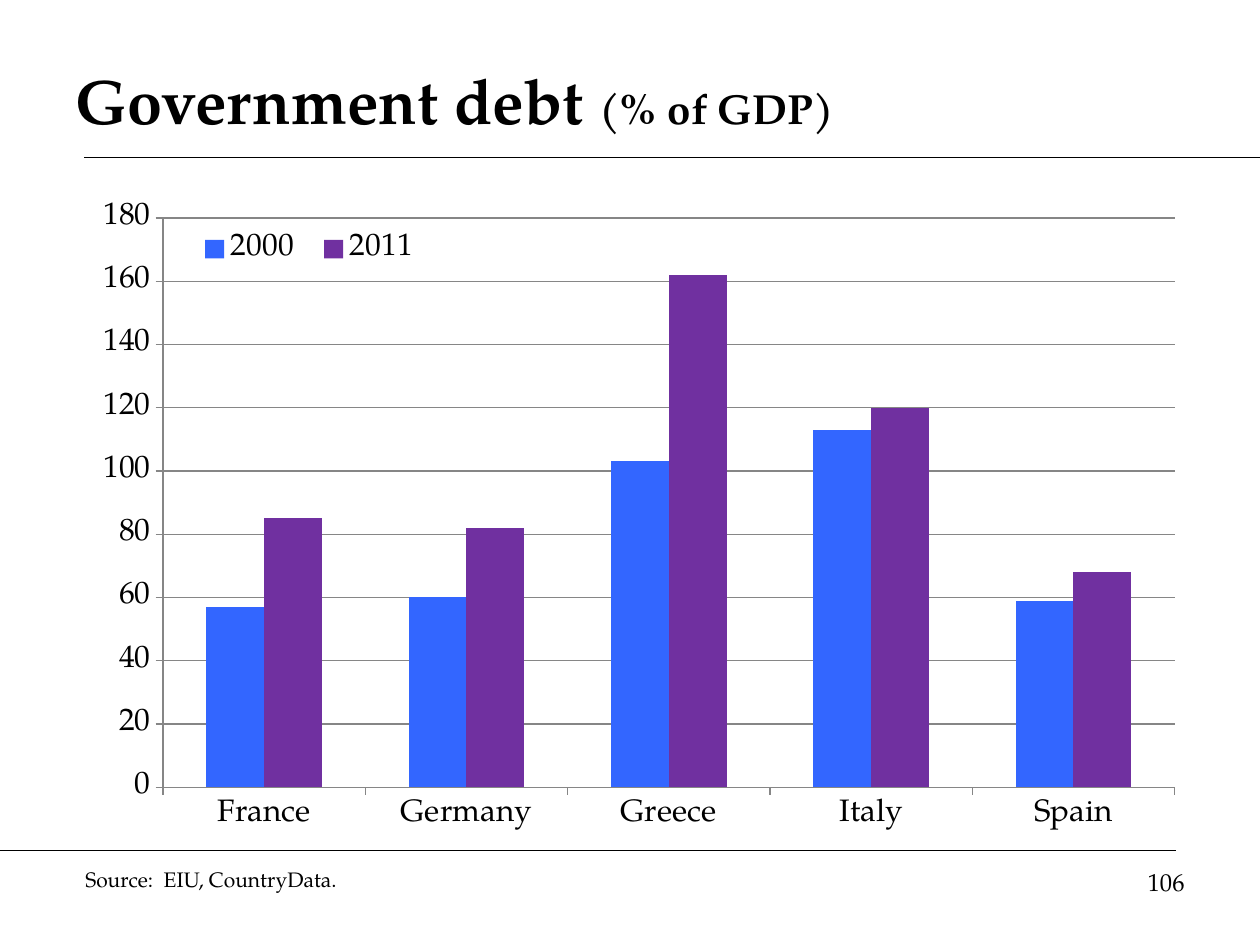
from lxml.etree import SubElement
from pptx import Presentation
from pptx.chart.data import CategoryChartData
from pptx.dml.color import RGBColor
from pptx.enum.chart import XL_CHART_TYPE, XL_LEGEND_POSITION, XL_TICK_MARK
from pptx.enum.shapes import MSO_CONNECTOR
from pptx.enum.text import MSO_ANCHOR, PP_ALIGN
from pptx.oxml import parse_xml
from pptx.oxml.ns import nsdecls, qn
from pptx.util import Cm, Pt

FONT = "TeX Gyre Pagella"
COLORS = {"ink": "000000", "grid": "868686", "2000": "3366FF", "2011": "7030A0"}
COUNTRIES = ["France", "Germany", "Greece", "Italy", "Spain"]
DEBT = {"2000": [57, 60, 103, 113, 59], "2011": [85, 82, 162, 120, 68]}


def color(key):
    return RGBColor.from_string(COLORS[key])


def set_attributes(target, formats):
    for attribute, value in formats.items():
        setattr(target, attribute, value)


def style_font(font, size, bold=False):
    set_attributes(font, {"name": FONT, "size": Pt(size), "bold": bold})
    font.color.rgb = color("ink")


def style_line(line, key):
    line.color.rgb = color(key)
    line.width = Pt(0.75)


def add_rule(slide, left, right, top):
    rule = slide.shapes.add_connector(
        MSO_CONNECTOR.STRAIGHT, Cm(left), Cm(top), Cm(right), Cm(top))
    style_line(rule.line, "ink")
    SubElement(rule._element.spPr, qn("a:effectLst"))


def add_text(slide, box, runs, align=PP_ALIGN.LEFT, anchor=MSO_ANCHOR.TOP, bold=False):
    frame = slide.shapes.add_textbox(*map(Cm, box)).text_frame
    set_attributes(frame, {"word_wrap": True, "vertical_anchor": anchor})
    paragraph = frame.paragraphs[0]
    paragraph.alignment = align
    for words, size in runs:
        run = paragraph.add_run()
        run.text = words
        style_font(run.font, size, bold)


def manual_layout(x, y, w, h, inner=False):
    target = '<c:layoutTarget val="inner"/>' if inner else ""
    sizes = "".join(f'<c:{tag} val="{value}"/>'
                    for tag, value in zip("xywh", (x, y, w, h)))
    return parse_xml(
        f'<c:layout {nsdecls("c")}><c:manualLayout>{target}'
        f'<c:xMode val="edge"/><c:yMode val="edge"/>{sizes}'
        "</c:manualLayout></c:layout>")


def place_plot(chart):
    plot_area = chart._chartSpace.chart.plotArea
    for layout in plot_area.findall(qn("c:layout")):
        plot_area.remove(layout)
    plot_area.insert(0, manual_layout(0.07, 0.04, 0.9, 0.91, inner=True))


def add_legend(chart):
    chart.has_legend = True
    legend = chart.legend
    set_attributes(legend, {"position": XL_LEGEND_POSITION.TOP,
                            "include_in_layout": False})
    style_font(legend.font, 18)
    element = legend._element
    for layout in element.findall(qn("c:layout")):
        element.remove(layout)
    element.find(qn("c:legendPos")).addnext(manual_layout(0.09, 0.05, 0.22, 0.08))


def style_axes(chart):
    for axis in (chart.category_axis, chart.value_axis):
        set_attributes(axis, {"major_tick_mark": XL_TICK_MARK.OUTSIDE,
                              "minor_tick_mark": XL_TICK_MARK.NONE})
        style_font(axis.tick_labels.font, 18)
        style_line(axis.format.line, "grid")
    set_attributes(chart.value_axis, {"minimum_scale": 0, "maximum_scale": 180,
                                      "major_unit": 20, "has_major_gridlines": True})
    style_line(chart.value_axis.major_gridlines.format.line, "grid")


def add_debt_chart(slide):
    debt = CategoryChartData(number_format="General")
    debt.categories = COUNTRIES
    for year, values in DEBT.items():
        debt.add_series(year, values)
    chart = slide.shapes.add_chart(
        XL_CHART_TYPE.COLUMN_CLUSTERED,
        Cm(1.7), Cm(3.89), Cm(22.66), Cm(12.85), debt).chart
    chart.has_title = False
    style_font(chart.font, 18)
    columns = chart.plots[0]
    set_attributes(columns, {"gap_width": 150, "overlap": 0,
                             "vary_by_categories": False})
    for series in columns.series:
        series.format.fill.solid()
        series.format.fill.fore_color.rgb = color(series.name)
    style_axes(chart)
    add_legend(chart)
    place_plot(chart)


def main():
    deck = Presentation()
    set_attributes(deck, {"slide_width": Cm(25.4), "slide_height": Cm(19.05)})
    slide = deck.slides.add_slide(deck.slide_layouts[6])
    add_rule(slide, 1.7, 25.4, 3.17)
    add_rule(slide, 0, 23.7, 17.15)
    add_text(slide, (1.27, 0.84, 22.86, 2.34),
             [("Government debt ", 36), ("(% of GDP)", 24)],
             anchor=MSO_ANCHOR.MIDDLE, bold=True)
    add_text(slide, (18.21, 17.35, 5.92, 1.32), [("106", 14)], align=PP_ALIGN.RIGHT)
    add_debt_chart(slide)
    add_text(slide, (1.47, 17.35, 12.27, 0.76), [("Source:  EIU, CountryData.", 12)])
    deck.save("out.pptx")


if __name__ == "__main__":
    main()
